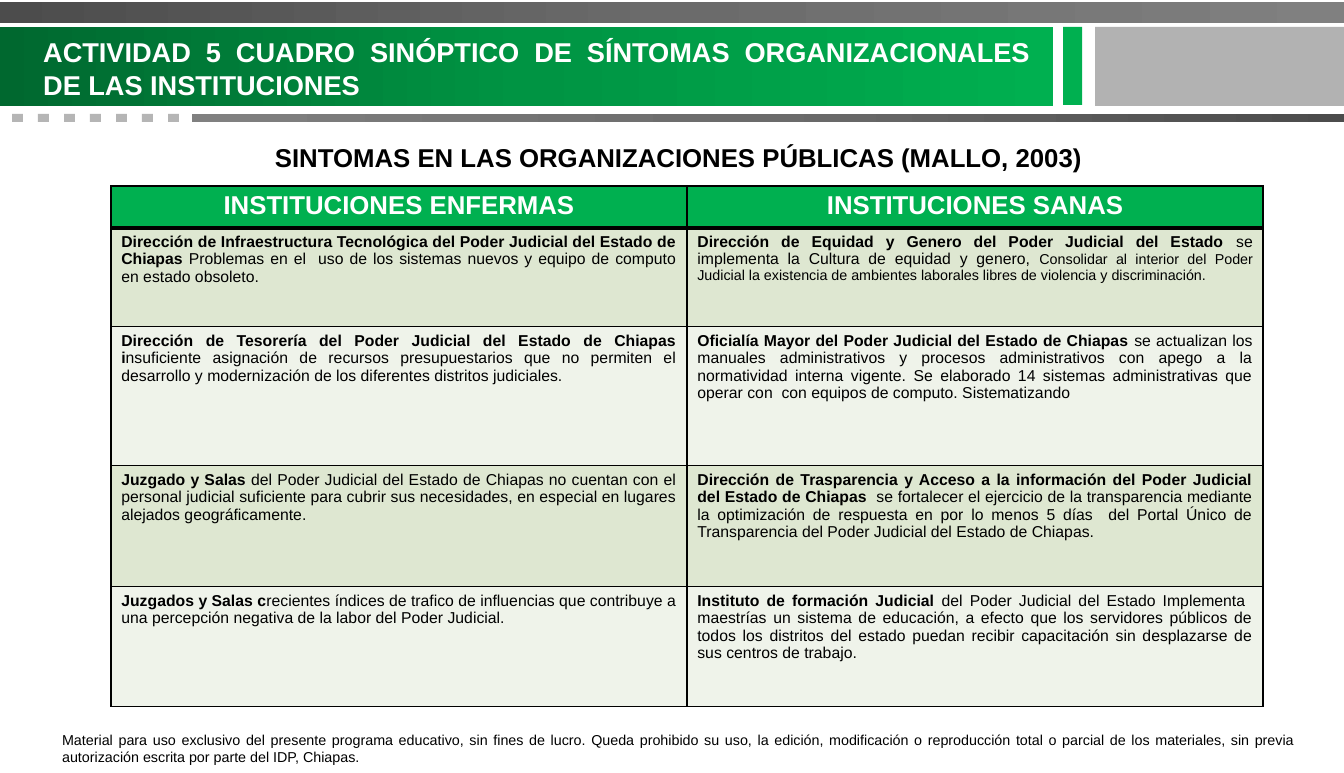
"""Build the slide on organisational symptoms in public institutions."""
from pptx import Presentation
from pptx import util as u
from pptx.dml.color import RGBColor
from pptx.enum import shapes, text
from pptx.oxml import parse_xml
from pptx.oxml.ns import nsdecls

SCALE = 914400 / 103.1
GREEN, WHITE, BLACK = "00B050", "FFFFFF", "000000"
LEFT, CENTER, JUSTIFY = text.PP_ALIGN.LEFT, text.PP_ALIGN.CENTER, text.PP_ALIGN.JUSTIFY

GREENS = ("00682F", "009443", GREEN)
GREYS = ("4C4C4C", "6B6B6B", "808080")
BANDS = [
    ((0, 27, 1053, 79), GREENS, 0),
    ((1063, 27, 19, 78), GREEN, 0),
    ((1095, 27, 249, 79), "B2B2B2", 0),
    ((192, 114, 1152, 8), GREYS, 180),
    ((0, 2, 1344, 21), GREYS, 0),
]
DASH_COUNT, DASH_LEFT, DASH_STEP = 7, 12, 26

TITLE = "ACTIVIDAD 5 CUADRO SINÓPTICO DE SÍNTOMAS ORGANIZACIONALES DE LAS INSTITUCIONES"
SUBTITLE = "SINTOMAS EN LAS ORGANIZACIONES PÚBLICAS (MALLO, 2003)"
FOOTER = (
    "Material para uso exclusivo del presente programa educativo, sin fines de lucro. "
    "Queda prohibido su uso, la edición, modificación o reproducción total o parcial de "
    "los materiales, sin previa autorización escrita por parte del IDP, Chiapas."
)

HEADINGS = ["INSTITUCIONES ENFERMAS", "INSTITUCIONES SANAS"]
SYMPTOMS = [
    [
        ("Dirección de Infraestructura Tecnológica del Poder Judicial del Estado de Chiapas ",
         "Problemas en el  uso de los sistemas nuevos y equipo de computo en estado obsoleto. "),
        ("Dirección de Equidad y Genero del Poder Judicial del Estado ",
         "se implementa la Cultura de equidad y genero, ",
         "Consolidar al interior del Poder Judicial la existencia de ambientes laborales "
         "libres de violencia y discriminación. "),
    ],
    [
        ("Dirección de Tesorería del Poder Judicial del Estado de Chiapas i",
         "nsuficiente asignación de recursos presupuestarios que no permiten el desarrollo "
         "y modernización de los diferentes distritos judiciales. "),
        ("Oficialía Mayor del Poder Judicial del Estado de Chiapas ",
         "se actualizan los manuales administrativos y procesos administrativos con apego a "
         "la normatividad interna vigente. Se elaborado 14 sistemas administrativas que "
         "operar con  con equipos de computo. Sistematizando "),
    ],
    [
        ("Juzgado y Salas",
         " del Poder Judicial del Estado de Chiapas no cuentan con el personal judicial "
         "suficiente para cubrir sus necesidades, en especial en lugares alejados "
         "geográficamente."),
        ("Dirección de Trasparencia y Acceso a la información del Poder Judicial del Estado "
         "de Chiapas  ",
         "se fortalecer el ejercicio de la transparencia mediante la optimización de "
         "respuesta en por lo menos 5 días  del Portal Único de Transparencia del Poder "
         "Judicial del Estado de Chiapas. "),
    ],
    [
        ("Juzgados y Salas c",
         "recientes índices de trafico de influencias que contribuye a una percepción "
         "negativa de la labor del Poder Judicial."),
        ("Instituto de formación Judicial",
         " del Poder Judicial del Estado Implementa  maestrías un sistema de educación, a "
         "efecto que los servidores públicos de todos los distritos del estado puedan "
         "recibir capacitación sin desplazarse de sus centros de trabajo. "),
    ],
]
SPAN_STYLES = [(11, True), (11, False), (10, False)]
ROW_HEIGHTS = [42, 99, 139, 121, 120]
TABLE_LEFT, TABLE_TOP, COLUMN_WIDTH = 111, 186, 576
ROW_FILLS = ["DEE7D1", "EFF3EA"]


def px(length):
    return u.Emu(round(length * SCALE))


def paint(fill, color):
    fill.solid()
    fill.fore_color.rgb = RGBColor.from_string(color)


def write(para, words, size=11, bold=False, color=BLACK, align=LEFT):
    para.alignment = align
    span = para.add_run()
    span.text = words
    span.font.name = "Arial"
    span.font.size = u.Pt(size)
    span.font.bold = bold
    span.font.color.rgb = RGBColor.from_string(color)


def add_band(place, color, angle=0):
    band = slide.shapes.add_shape(shapes.MSO_SHAPE.RECTANGLE, *map(px, place))
    band.shadow.inherit = False
    band.line.fill.background()
    if isinstance(color, str):
        paint(band.fill, color)
        return
    stops = "".join(
        f'<a:gs pos="{spot * 50000}"><a:srgbClr val="{shade}"/></a:gs>'
        for spot, shade in enumerate(color)
    )
    gradient = parse_xml(
        f'<a:gradFill {nsdecls("a")} rotWithShape="1"><a:gsLst>{stops}</a:gsLst>'
        f'<a:lin ang="{angle * 60000}" scaled="0"/></a:gradFill>'
    )
    band.element.spPr.insert(2, gradient)


def add_text(place, words, spacing=None, **style):
    box = slide.shapes.add_textbox(*map(px, place))
    box.text_frame.word_wrap = True
    para = box.text_frame.paragraphs[0]
    para.line_spacing = spacing
    write(para, words, **style)


def add_borders(cell, top, bottom):
    properties = cell._tc.get_or_add_tcPr()
    for index, (side, width) in enumerate(zip("LRTB", (1, 1, top, bottom))):
        properties.insert(index, parse_xml(
            f'<a:ln{side} {nsdecls("a")} w="{width * 12700}"><a:solidFill>'
            f'<a:srgbClr val="{BLACK}"/></a:solidFill></a:ln{side}>'
        ))


deck = Presentation()
deck.slide_width = u.Pt(938.5)
deck.slide_height = u.Pt(540)
slide = deck.slides.add_slide(deck.slide_layouts[6])

for place, color, angle in BANDS:
    add_band(place, color, angle)
for dash in range(DASH_COUNT):
    add_band((DASH_LEFT + dash * DASH_STEP, 114, 11, 8), "B5B5B5")

add_text((52, 726, 1251, 45), FOOTER, size=10, align=JUSTIFY)

table = slide.shapes.add_table(
    len(ROW_HEIGHTS), len(HEADINGS), px(TABLE_LEFT), px(TABLE_TOP),
    px(COLUMN_WIDTH * len(HEADINGS)), px(sum(ROW_HEIGHTS)),
).table
for column in table.columns:
    column.width = px(COLUMN_WIDTH)
for row, height in enumerate(ROW_HEIGHTS):
    table.rows[row].height = px(height)
    for column, heading in enumerate(HEADINGS):
        cell = table.cell(row, column)
        para = cell.text_frame.paragraphs[0]
        if row == 0:
            paint(cell.fill, GREEN)
            write(para, heading, size=18, bold=True, color=WHITE, align=CENTER)
        else:
            paint(cell.fill, ROW_FILLS[(row - 1) % 2])
            for words, (size, bold) in zip(SYMPTOMS[row - 1][column], SPAN_STYLES):
                write(para, words, size=size, bold=bold, align=JUSTIFY)
        add_borders(cell, top=3 if row == 1 else 1, bottom=3 if row == 0 else 1)

add_text((122, 137, 1113, 41), SUBTITLE, size=18, bold=True, align=CENTER)
add_text((33, 30, 1007, 76), TITLE, spacing=u.Pt(23), size=19, bold=True,
         color=WHITE, align=JUSTIFY)

deck.save("out.pptx")
